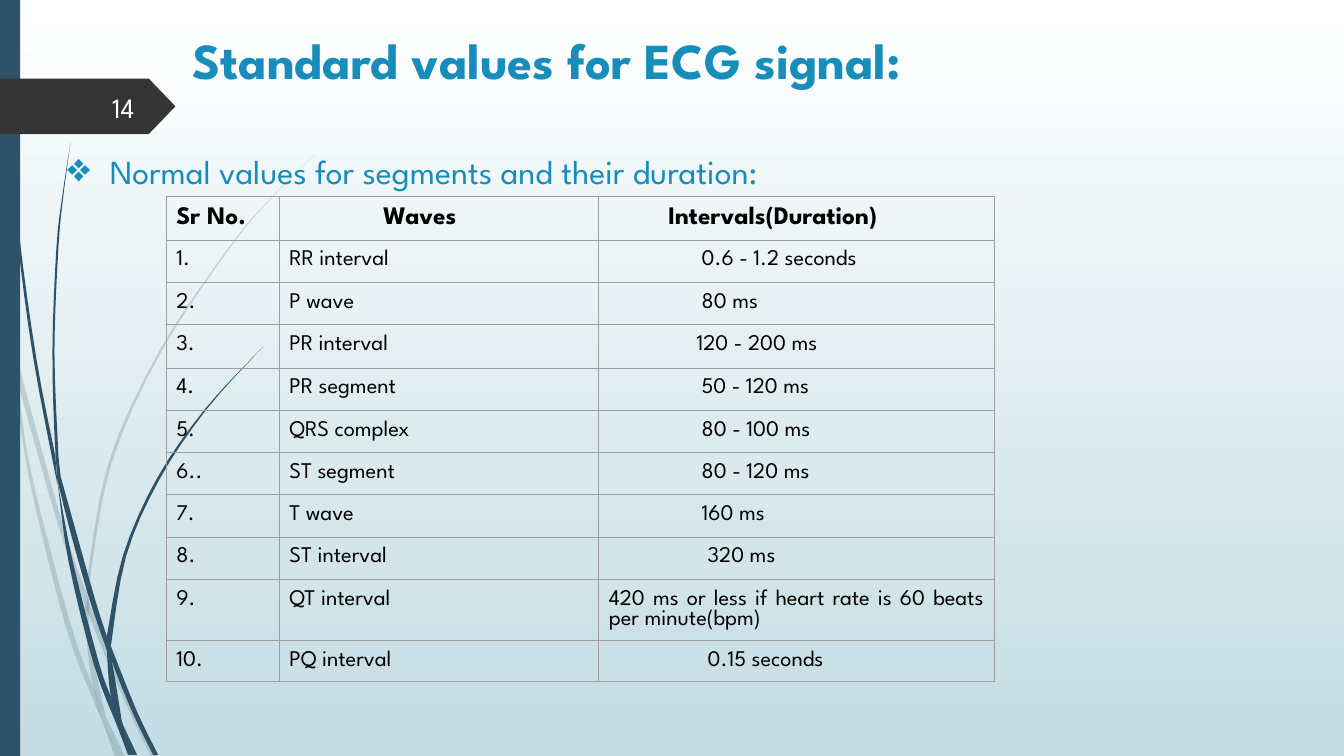
from lxml.etree import SubElement
from pptx import Presentation
from pptx.dml.color import RGBColor
from pptx.enum.shapes import MSO_SHAPE
from pptx.enum.text import MSO_ANCHOR, PP_ALIGN
from pptx.oxml.ns import qn
from pptx.util import Inches, Pt

COLORS = {"slate": "2E5369", "tag": "353535", "blue": "168DBA", "black": "000000",
          "number": "FEFFFF", "grid": "9E9E9E", "top": "FFFFFF", "bottom": "C4DCE3"}
FONT = "League Spartan"
TITLE = "Standard values for ECG signal:"
SUBTITLE = "Normal values for segments and their duration:"
NUMBER = "14"

# Serial number, wave, duration, left indent of the duration
HEADER = ("Sr No.", "Waves", "Intervals(Duration)", 0.59)
ROWS = [
    ("1.", "RR interval", "0.6 - 1.2 seconds", 0.92),
    ("2.", "P wave", "80 ms", 0.92),
    ("3.", "PR interval", "120 - 200 ms", 0.87),
    ("4.", "PR segment", "50 - 120 ms", 0.92),
    ("5.", "QRS complex", "80 - 100 ms", 0.92),
    ("6..", "ST segment", "80 - 120 ms", 0.92),
    ("7.", "T wave", "160 ms", 0.92),
    ("8.", "ST interval", "320 ms", 0.98),
    ("9.", "QT interval", "420 ms or less if heart rate is 60 beats per minute(bpm)", 0),
    ("10.", "PQ interval", "0.15 seconds", 0.98),
]
WIDTHS = [1.12, 3.17, 3.92]
HEIGHTS = [0.42] * 3 + [0.43] + [0.42] * 5 + [0.61, 0.4]

# Each piece of grass: one edge going out, the other coming back
PALE = [
    ([(0.14, 3.45), (0.17, 3.76), (0.58, 5.22), (0.84, 5.99)],
     [(0.85, 5.86), (0.62, 5.2), (0.14, 3.45)]),
    ([(0.88, 5.96), (0.88, 6.1), (1.23, 6.94), (1.5, 7.51)],
     [(1.55, 7.51), (1.27, 6.92), (0.92, 6.07), (0.88, 5.96)]),
    ([(1.05, 7.11), (1.19, 7.51)], [(1.24, 7.51), (1.05, 7.11)]),
    ([(0.11, 3.5), (0.28, 4.7), (0.65, 6.21), (0.92, 6.93), (1.01, 7.14)],
     [(0.93, 6.83), (0.7, 6.19), (0.31, 4.69), (0.17, 3.76), (0.11, 3.5)]),
    ([(0.84, 5.99), (0.87, 6.46), (0.93, 6.83), (1.05, 7.11)],
     [(1.05, 7.11), (0.91, 6.46), (0.88, 6.1), (0.84, 5.99)]),
    ([(3.12, 1.53), (2.68, 1.97), (2.28, 2.44), (1.58, 3.48), (1.07, 4.61), (0.85, 5.84)],
     [(0.88, 5.96), (0.88, 5.84), (1.1, 4.62), (1.6, 3.49), (2.29, 2.45), (2.68, 1.98),
      (3.12, 1.53)]),
    ([(1.01, 7.14), (1.14, 7.51)], [(1.19, 7.51), (1.01, 7.14)]),
    ([(0.85, 5.86), (0.84, 5.99)], [(0.88, 6.1), (0.88, 5.96), (0.85, 5.86)]),
    ([(0.93, 6.83), (1.01, 7.14), (1.19, 7.51)], [(1.05, 7.11), (0.93, 6.83)]),
]
DARK = [
    ([(0.03, 0), (0.07, 1.1), (0.17, 2.33), (0.33, 3.55), (0.57, 4.81)],
     [(0.55, 4.53), (0.36, 3.55), (0.19, 2.32), (0.08, 1.09), (0.04, 0)]),
    ([(0.6, 4.72), (0.64, 5.05), (0.88, 5.92), (1.06, 6.45)],
     [(1.06, 6.31), (0.93, 5.9), (0.6, 4.72)]),
    ([(1.1, 6.41), (1.11, 6.56), (1.32, 7.08), (1.52, 7.49)],
     [(1.57, 7.49), (1.36, 7.06), (1.1, 6.41)]),
    ([(0.57, 4.77), (0.68, 5.57), (0.93, 6.59), (1.17, 7.22)],
     [(1.1, 6.91), (0.98, 6.57), (0.72, 5.56), (0.57, 4.77)]),
    ([(0.7, 1.41), (0.62, 1.93), (0.56, 2.45), (0.52, 3.49), (0.55, 4.49), (0.6, 4.72)],
     [(0.58, 4.53), (0.54, 3.49), (0.58, 2.45), (0.63, 1.93), (0.7, 1.41)]),
    ([(1.22, 7.19), (1.33, 7.49)], [(1.36, 7.49), (1.22, 7.19)]),
    ([(0.55, 4.49), (0.57, 4.77)], [(0.64, 5.05), (0.6, 4.72), (0.55, 4.49)]),
    ([(2.61, 3.44), (2.04, 4.05), (1.56, 4.74), (1.22, 5.51), (1.06, 6.31)],
     [(1.1, 6.41), (1.25, 5.52), (1.58, 4.76), (2.05, 4.06), (2.61, 3.44)]),
    ([(1.17, 7.22), (1.27, 7.49)], [(1.31, 7.49), (1.17, 7.22)]),
    ([(1.06, 6.45), (1.1, 6.91), (1.22, 7.19)], [(1.21, 7.16), (1.11, 6.56), (1.06, 6.45)]),
    ([(1.06, 6.31), (1.06, 6.45)], [(1.11, 6.56), (1.1, 6.41), (1.06, 6.31)]),
    ([(1.1, 6.91), (1.17, 7.22), (1.3, 7.49)], [(1.33, 7.49), (1.22, 7.19), (1.1, 6.91)]),
]


def rgb(name):
    return RGBColor.from_string(COLORS[name])


def paint(shape, color, alpha=None):
    shape.shadow.inherit = False
    shape.fill.solid()
    shape.fill.fore_color.rgb = rgb(color)
    shape.line.fill.background()
    if alpha:
        tone = shape.fill._xPr.find(qn("a:solidFill"))[0]
        SubElement(tone, qn("a:alpha"), val=str(alpha * 1000))


def smooth(edge, steps=4):
    """Return points on a Catmull-Rom curve through the points of an edge."""
    if len(edge) == 2:
        return edge
    ends = [edge[0], *edge, edge[-1]]
    curve = [edge[0]]
    for a, b, c, d in zip(ends, ends[1:], ends[2:], ends[3:]):
        for step in range(1, steps + 1):
            t = step / steps
            curve.append(tuple(
                (2 * q + (r - p) * t + (2 * p - 5 * q + 4 * r - s) * t ** 2
                 + (3 * q - p - 3 * r + s) * t ** 3) / 2
                for p, q, r, s in zip(a, b, c, d)))
    return curve


def blade(shapes, edges, alpha=None):
    points = [(Inches(x), Inches(y)) for edge in edges for x, y in smooth(edge)]
    form = shapes.build_freeform(*points[0], scale=1.0)
    form.add_line_segments(points[1:], close=True)
    paint(form.convert_to_shape(), "slate", alpha)


def write(para, text, size=16, color="black", bold=False, align=PP_ALIGN.LEFT,
          left=0, hang=0, bullet=None, before=0, pitch=None):
    run = para.add_run()
    run.text = text
    run.font.name = FONT
    run.font.size = Pt(size)
    run.font.bold = bold
    run.font.color.rgb = rgb(color)
    para.alignment = align
    para.line_spacing = pitch
    para.space_before = Pt(before)
    props = para._p.get_or_add_pPr()
    props.set("marL", str(Inches(left)))
    props.set("indent", str(Inches(-hang)))
    if bullet:
        tint = SubElement(props, qn("a:buClr"))
        SubElement(tint, qn("a:srgbClr"), val=COLORS[color])
        SubElement(props, qn("a:buSzPct"), val="120000")
        SubElement(props, qn("a:buChar"), char=bullet)


def box(shapes, *place):
    frame = shapes.add_textbox(*map(Inches, place)).text_frame
    frame.word_wrap = True
    return frame


def border(cell):
    props = cell._tc.get_or_add_tcPr()
    for order, side in enumerate(("lnL", "lnR", "lnT", "lnB")):
        line = SubElement(props, qn("a:" + side), w=str(Pt(0.75)))
        fill = SubElement(line, qn("a:solidFill"))
        SubElement(fill, qn("a:srgbClr"), val=COLORS["grid"])
        props.insert(order, line)


def grid(shapes):
    data = [HEADER, *ROWS]
    table = shapes.add_table(len(data), len(WIDTHS), Inches(1.65), Inches(1.95),
                             Inches(sum(WIDTHS)), Inches(sum(HEIGHTS))).table
    table.first_row = table.horz_banding = False
    for col, width in zip(table.columns, WIDTHS):
        col.width = Inches(width)
    for i, (row, height) in enumerate(zip(table.rows, HEIGHTS)):
        row.height = Inches(height)
        *texts, shift = data[i]
        size = 16 if i else 18
        for cell, text, left in zip(row.cells, texts, (0, 0 if i else 0.93, shift)):
            cell.margin_left = cell.margin_right = Inches(0.1)
            cell.margin_top = cell.margin_bottom = Inches(0.1)
            cell.fill.background()
            border(cell)
            write(cell.text_frame.paragraphs[0], text, size=size, bold=i == 0,
                  left=left, pitch=Pt(round(size * 0.92, 1)),
                  align=PP_ALIGN.LEFT if shift else PP_ALIGN.JUSTIFY)


def main():
    deck = Presentation()
    deck.slide_width, deck.slide_height = Inches(13.33), Inches(7.5)
    slide = deck.slides.add_slide(deck.slide_layouts[6])
    shapes = slide.shapes
    back = slide.background.fill
    back.gradient()
    back.gradient_angle = 270
    for stop, name, place in zip(back.gradient_stops, ("top", "bottom"), (0, 1)):
        stop.color.rgb = rgb(name)
        stop.position = place

    for group, alpha in ((PALE, 20), (DARK, None)):
        for edges in group:
            blade(shapes, edges, alpha)
    bar = shapes.add_shape(MSO_SHAPE.RECTANGLE, 0, 0, Inches(0.2), Inches(7.5))
    paint(bar, "slate")
    tag = shapes.add_shape(MSO_SHAPE.PENTAGON, 0, Inches(0.78), Inches(1.74), Inches(0.55))
    tag.adjustments[0] = 0.48
    paint(tag, "tag")

    head = box(shapes, 0.49, 0.24, 11.02, 1.02)
    write(head.paragraphs[0], TITLE, size=36, color="blue", bold=True, left=1.32)
    write(head.add_paragraph(), SUBTITLE, size=24, color="blue", left=0.5, hang=0.42,
          bullet="❖", before=44)
    page = box(shapes, 0.58, 0.86, 0.85, 0.4)
    page.vertical_anchor = MSO_ANCHOR.MIDDLE
    write(page.paragraphs[0], NUMBER, size=20, color="number", align=PP_ALIGN.RIGHT)
    grid(shapes)
    deck.save("out.pptx")


if __name__ == "__main__":
    main()
